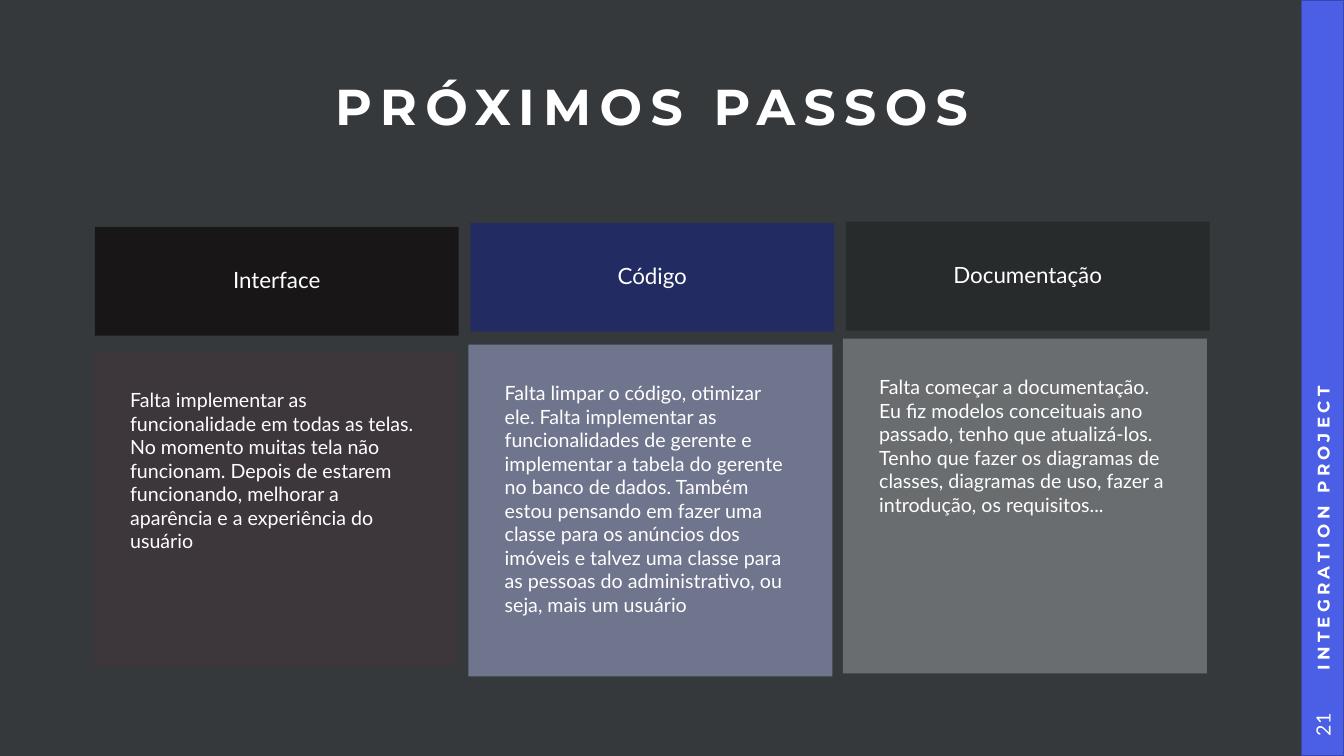
import dataclasses

import lxml.etree
import pptx
import pptx.dml.color
import pptx.enum.shapes
import pptx.enum.text
import pptx.oxml.ns
import pptx.util

WIDE = pptx.util.Inches(13.33)
TALL = pptx.util.Inches(7.5)
ALIGN = pptx.enum.text.PP_ALIGN
ANCHOR = pptx.enum.text.MSO_ANCHOR
WHITE = "FFFFFF"
CARD_WIDTH = 27.08
HEAD_LEFT, HEAD_STEP, HEAD_TALL = 7.05, 27.94, 14.4
BODY_LEFT, BODY_STEP = 6.98, 27.87


@dataclasses.dataclass
class Box:
    """Left, top, width and height as percent of the slide's size."""
    left: float
    top: float
    width: float
    height: float

    def lengths(self) -> tuple[int, int, int, int]:
        return (int(WIDE * self.left / 100), int(TALL * self.top / 100),
                int(WIDE * self.width / 100), int(TALL * self.height / 100))


@dataclasses.dataclass
class Paint:
    color: str
    alpha: int = 100


@dataclasses.dataclass
class Card:
    head: str
    text: str
    head_top: float
    body_top: float
    body_tall: float
    head_paint: Paint
    body_paint: Paint


@dataclasses.dataclass
class Label:
    text: str
    box: Box
    form: dict


CARDS = [
    Card("Interface",
         "Falta implementar as funcionalidade em todas as telas. No momento muitas "
         "tela não funcionam. Depois de estarem funcionando, melhorar a aparência e "
         "a experiência do usuário",
         30, 46.53, 41.6, Paint("181617"), Paint("3D363A")),
    Card("Código",
         "Falta limpar o código, otimizar ele. Falta implementar as funcionalidades "
         "de gerente e implementar a tabela do gerente no banco de dados. Também "
         "estou pensando em fazer uma classe para os anúncios dos imóveis e talvez "
         "uma classe para as pessoas do administrativo, ou seja, mais um usuário",
         29.47, 45.6, 43.87, Paint("122186", 53), Paint("B7BFF5", 45)),
    Card("Documentação",
         "Falta começar a documentação. Eu fiz modelos conceituais ano passado, "
         "tenho que atualizá-los. Tenho que fazer os diagramas de classes, diagramas "
         "de uso, fazer a introdução, os requisitos...",
         29.33, 44.8, 44.27, Paint("282B2C"), Paint("ACB0B3", 44)),
]

LABELS = [
    Label("INTEGRATION PROJECT", Box(72.62, 43.07, 51.61, 5.6),
          dict(size=12, face="Montserrat", bold=True, track=3,
               inset=(0.23, 0.05, 0.1, 0.05))),
    Label("21", Box(96.1, 93.07, 4.65, 5.6),
          dict(size=14, align=ALIGN.CENTER, inset=(0.1, 0.05, 0.1, 0.05))),
]


def tint(color: str) -> pptx.dml.color.RGBColor:
    return pptx.dml.color.RGBColor.from_string(color)


def write(shape, text: str, *, size: float, face: str = "Lato", bold: bool = False,
          track: float = 0, align=ALIGN.LEFT, anchor=ANCHOR.MIDDLE,
          inset: tuple = (0, 0, 0, 0), lead: float = 1) -> None:
    """Set the shape's text; track is letter spacing in points, inset is inches."""
    frame = shape.text_frame
    frame.word_wrap = True
    frame.auto_size = pptx.enum.text.MSO_AUTO_SIZE.NONE
    frame.vertical_anchor = anchor
    (frame.margin_left, frame.margin_top,
     frame.margin_right, frame.margin_bottom) = map(pptx.util.Inches, inset)
    para = frame.paragraphs[0]
    para.alignment = align
    para.line_spacing = lead
    run = para.add_run()
    run.text = text
    run.font.size = pptx.util.Pt(size)
    run.font.name = face
    run.font.bold = bold
    run.font.color.rgb = tint(WHITE)
    if track:
        run._r.get_or_add_rPr().set("spc", str(int(track * 100)))


def block(slide, box: Box, paint: Paint):
    shape = slide.shapes.add_shape(
        pptx.enum.shapes.MSO_SHAPE.RECTANGLE, *box.lengths())
    shape.shadow.inherit = False
    shape.fill.solid()
    shape.fill.fore_color.rgb = tint(paint.color)
    shape.line.fill.background()
    if paint.alpha < 100:
        name = pptx.oxml.ns.qn
        solid = shape._element.spPr.find(name("a:solidFill"))
        alpha = lxml.etree.SubElement(solid[0], name("a:alpha"))
        alpha.set("val", str(paint.alpha * 1000))
    return shape


def draw_card(slide, card: Card, col: int) -> None:
    head = block(slide, Box(HEAD_LEFT + col * HEAD_STEP, card.head_top,
                            CARD_WIDTH, HEAD_TALL), card.head_paint)
    write(head, card.head, size=16, align=ALIGN.CENTER, inset=(0.29,) * 4, lead=0.9)
    body = block(slide, Box(BODY_LEFT + col * BODY_STEP, card.body_top,
                            CARD_WIDTH, card.body_tall), card.body_paint)
    write(body, card.text, size=14, anchor=ANCHOR.TOP, inset=(0.36,) * 4)


def draw_label(slide, label: Label) -> None:
    shape = slide.shapes.add_textbox(*label.box.lengths())
    shape.rotation = 270
    write(shape, label.text, **label.form)


def draw_title(slide, text: str, box: Box) -> None:
    title = slide.shapes.title
    title.left, title.top, title.width, title.height = box.lengths()
    write(title, text, size=36, face="Montserrat", bold=True, track=6,
          align=ALIGN.CENTER, lead=0.9)


def main() -> None:
    deck = pptx.Presentation()
    deck.slide_width, deck.slide_height = WIDE, TALL
    slide = deck.slides.add_slide(deck.slide_layouts.get_by_name("Title Only"))
    slide.background.fill.solid()
    slide.background.fill.fore_color.rgb = tint("36393B")

    bar = block(slide, Box(96.85, 0, 3.15, 100), Paint("4A5EE6"))
    bar.line.color.rgb = tint("3746AA")
    bar.line.width = pptx.util.Pt(1)

    draw_title(slide, "PRÓXIMOS PASSOS", Box(6.98, 6.67, 83.05, 15.6))
    for col, card in enumerate(CARDS):
        draw_card(slide, card, col)
    for label in LABELS:
        draw_label(slide, label)
    deck.save("out.pptx")


if __name__ == "__main__":
    main()
